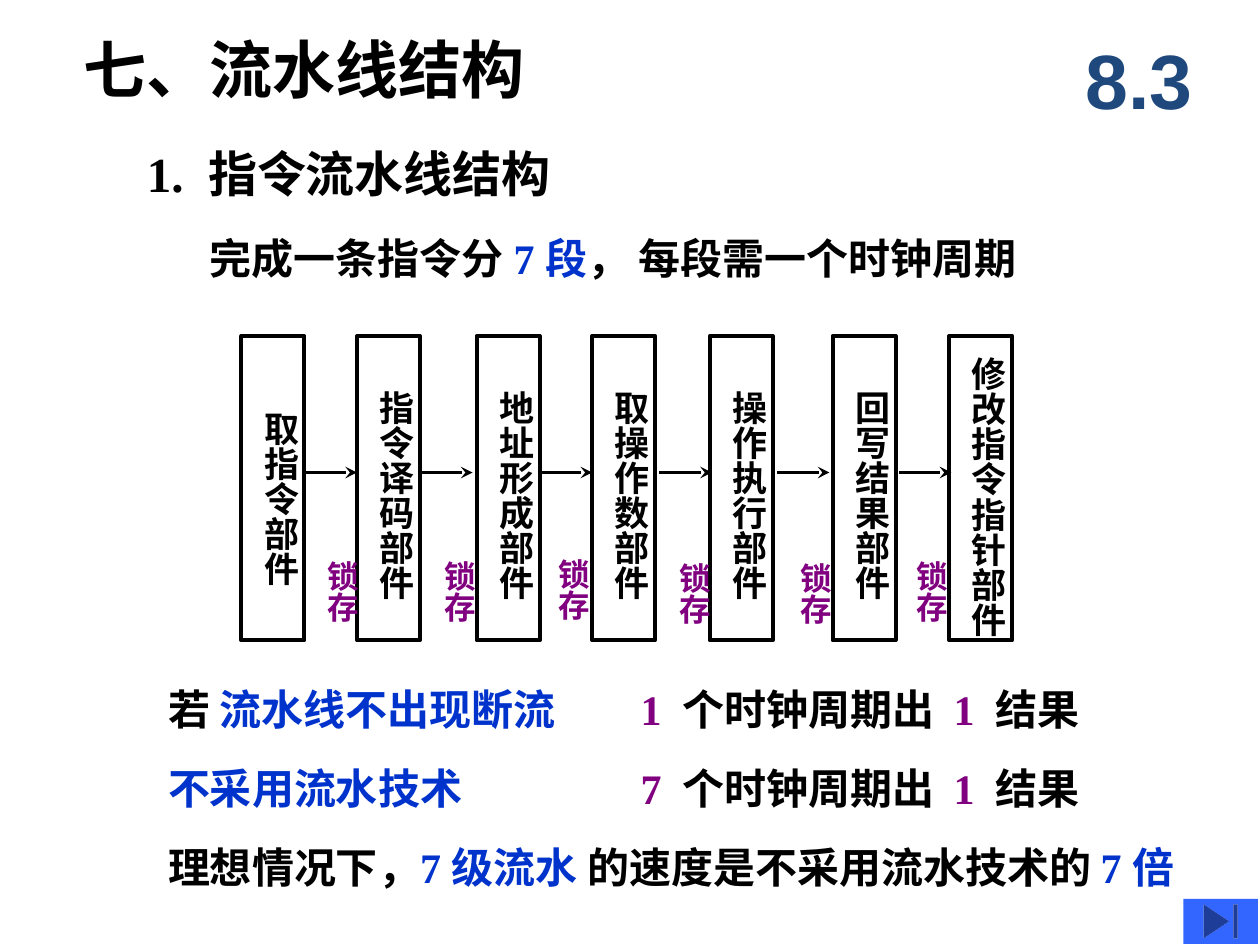
from dataclasses import dataclass

from pptx import Presentation
from pptx.dml.color import RGBColor
from pptx.enum.shapes import MSO_CONNECTOR, MSO_SHAPE
from pptx.enum.text import MSO_ANCHOR, MSO_AUTO_SIZE, PP_ALIGN
from pptx.oxml.ns import qn
from pptx.util import Inches, Length, Pt

COLUMNS, ROWS = 120, 90
WIDTH, HEIGHT = Inches(10), Inches(7.5)
BLACK, BLUE, PURPLE, NAVY, BUTTON = "000000", "0033CC", "800080", "1F497D", "3366FF"
SERIF = "Times New Roman"
STAGE_TOP, STAGE_WIDTH, STAGE_HEIGHT = 32, 6, 29
ARROW_ROW, ARROW_LENGTH = 45, 5


@dataclass
class Area:
    """A rectangle in grid columns and rows."""
    left: float
    top: float
    width: float
    height: float

    def lengths(self) -> tuple[Length, ...]:
        return x(self.left), y(self.top), x(self.width), y(self.height)


@dataclass
class Span:
    text: str
    color: str = BLACK


@dataclass
class Line:
    area: Area
    spans: list[Span]
    size: int = 24


@dataclass
class Stage:
    name: str
    left: float
    label_top: float
    label_height: float
    wrap: bool = False


@dataclass
class Link:
    """The arrow to the next stage and the latch label under it."""
    arrow_left: float
    latch_left: float
    latch_top: float


def cycles(count: str) -> list[Span]:
    return [Span(f"{count}  ", PURPLE), Span("个时钟周期出  "),
            Span("1  ", PURPLE), Span("结果")]


TITLE = Line(Area(8, 3, 71, 7), [Span("七、流水线结构")], 36)
LINES = [
    Line(Area(14, 13, 44, 7), [Span("1.  指令流水线结构")], 28),
    Line(Area(20, 21, 86, 7), [Span("完成一条指令分 "), Span("7 段", BLUE),
                               Span("， 每段需一个时钟周期")]),
    Line(Area(16, 64, 44, 7), [Span("若 "), Span("流水线不出现断流", BLUE)]),
    Line(Area(61, 64, 45, 7), cycles("1")),
    Line(Area(16, 71.5, 39, 7), [Span("不采用流水技术", BLUE)]),
    Line(Area(61, 71.5, 45, 7), cycles("7")),
    Line(Area(16, 79, 100, 7), [Span("理想情况下，"), Span("7 级流水 ", BLUE),
                                Span("的速度是不采用流水技术的 "), Span("7 倍", BLUE)]),
]
STAGES = [
    Stage("取指令部件", 23, 38, 17.9),
    Stage("指令译码部件", 34, 36, 21.2),
    Stage("地址形成部件", 45.4, 36, 21.2),
    Stage("取操作数部件", 56.4, 36, 21.2),
    Stage("操作执行部件", 67.6, 36, 24.8, wrap=True),
    Stage("回写结果部件", 79.3, 36, 27, wrap=True),
    Stage("修改指令指针部件", 90.4, 32.8, 28),
]
LINKS = [
    Link(29, 29, 52.2), Link(40, 40.1, 52.2), Link(51.4, 51, 52),
    Link(62.8, 62.5, 52.4), Link(74, 74, 52.4), Link(85.6, 85.1, 52.2),
]


def x(columns: float) -> Length:
    return Length(round(WIDTH * columns / COLUMNS))


def y(rows: float) -> Length:
    return Length(round(HEIGHT * rows / ROWS))


def rgb(color: str) -> RGBColor:
    return RGBColor.from_string(color)


def write(box, spans: list[Span], *, size: int, font: str = SERIF,
          align=PP_ALIGN.LEFT, anchor=MSO_ANCHOR.MIDDLE, wrap: bool = False,
          grow: bool = False, vertical: bool = False, inset: tuple = (0, 0.05)) -> None:
    frame = box.text_frame
    frame.word_wrap = wrap
    frame.auto_size = MSO_AUTO_SIZE.SHAPE_TO_FIT_TEXT if grow else MSO_AUTO_SIZE.NONE
    frame.vertical_anchor = anchor
    frame.margin_left = frame.margin_right = Inches(inset[0])
    frame.margin_top = frame.margin_bottom = Inches(inset[1])
    if vertical:
        frame._txBody.find(qn("a:bodyPr")).set("vert", "eaVert")
    para = frame.paragraphs[0]
    para.alignment = align
    for span in spans:
        run = para.add_run()
        run.text = span.text
        run.font.name, run.font.size, run.font.bold = font, Pt(size), True
        run.font.color.rgb = rgb(span.color)


def add_vertical_label(shapes, area: Area, span: Span, size: int, wrap: bool = False) -> None:
    write(shapes.add_textbox(*area.lengths()), [span], size=size, wrap=wrap,
          anchor=MSO_ANCHOR.TOP, grow=True, vertical=True, inset=(0.05, 0.1))


def add_stage(page, stage: Stage) -> None:
    shapes = page.shapes.add_group_shape().shapes
    label = Area(stage.left - 0.1, stage.label_top, 6.4, stage.label_height)
    add_vertical_label(shapes, label, Span(stage.name), 20, stage.wrap)
    area = Area(stage.left, STAGE_TOP, STAGE_WIDTH, STAGE_HEIGHT)
    frame = shapes.add_shape(MSO_SHAPE.RECTANGLE, *area.lengths())
    frame.shadow.inherit = False
    frame.fill.background()
    frame.line.color.rgb, frame.line.width = rgb(BLACK), Pt(2.25)


def add_arrow(page, left: float) -> None:
    arrow = page.shapes.add_connector(MSO_CONNECTOR.STRAIGHT, x(left), y(ARROW_ROW),
                                      x(left + ARROW_LENGTH), y(ARROW_ROW))
    arrow.line.color.rgb, arrow.line.width = rgb(BLACK), Pt(2.25)
    outline = arrow.line._get_or_add_ln()
    outline.append(outline.makeelement(qn("a:tailEnd"), {"type": "stealth"}))
    properties = arrow._element.spPr
    properties.append(properties.makeelement(qn("a:effectLst"), {}))


def add_next_button(page) -> None:
    area = Area(112.7, 85.6, 7.1, 4.3)
    button = page.shapes.add_shape(MSO_SHAPE.ACTION_BUTTON_END, *area.lengths())
    button.shadow.inherit = False
    button.fill.solid()
    button.fill.fore_color.rgb = rgb(BUTTON)
    button.line.fill.background()


def main() -> None:
    deck = Presentation()
    deck.slide_width, deck.slide_height = WIDTH, HEIGHT
    page = deck.slides.add_slide(deck.slide_layouts[5])

    title = page.shapes.title
    title.left, title.top, title.width, title.height = TITLE.area.lengths()
    write(title, TITLE.spans, size=TITLE.size)
    for line in LINES:
        write(page.shapes.add_textbox(*line.area.lengths()), line.spans, size=line.size)

    for stage in STAGES:
        add_stage(page, stage)
    for link in LINKS:
        add_arrow(page, link.arrow_left)
    latches = page.shapes.add_group_shape().shapes
    for link in LINKS:
        area = Area(link.latch_left, link.latch_top, 6, 7.2)
        add_vertical_label(latches, area, Span("锁存", PURPLE), 18)

    section = page.shapes.add_textbox(*Area(101, 2, 15, 11).lengths())
    write(section, [Span("8.3", NAVY)], size=44, font="Arial",
          align=PP_ALIGN.CENTER, wrap=True, inset=(0.1, 0.05))
    add_next_button(page)
    deck.save("out.pptx")


if __name__ == "__main__":
    main()
